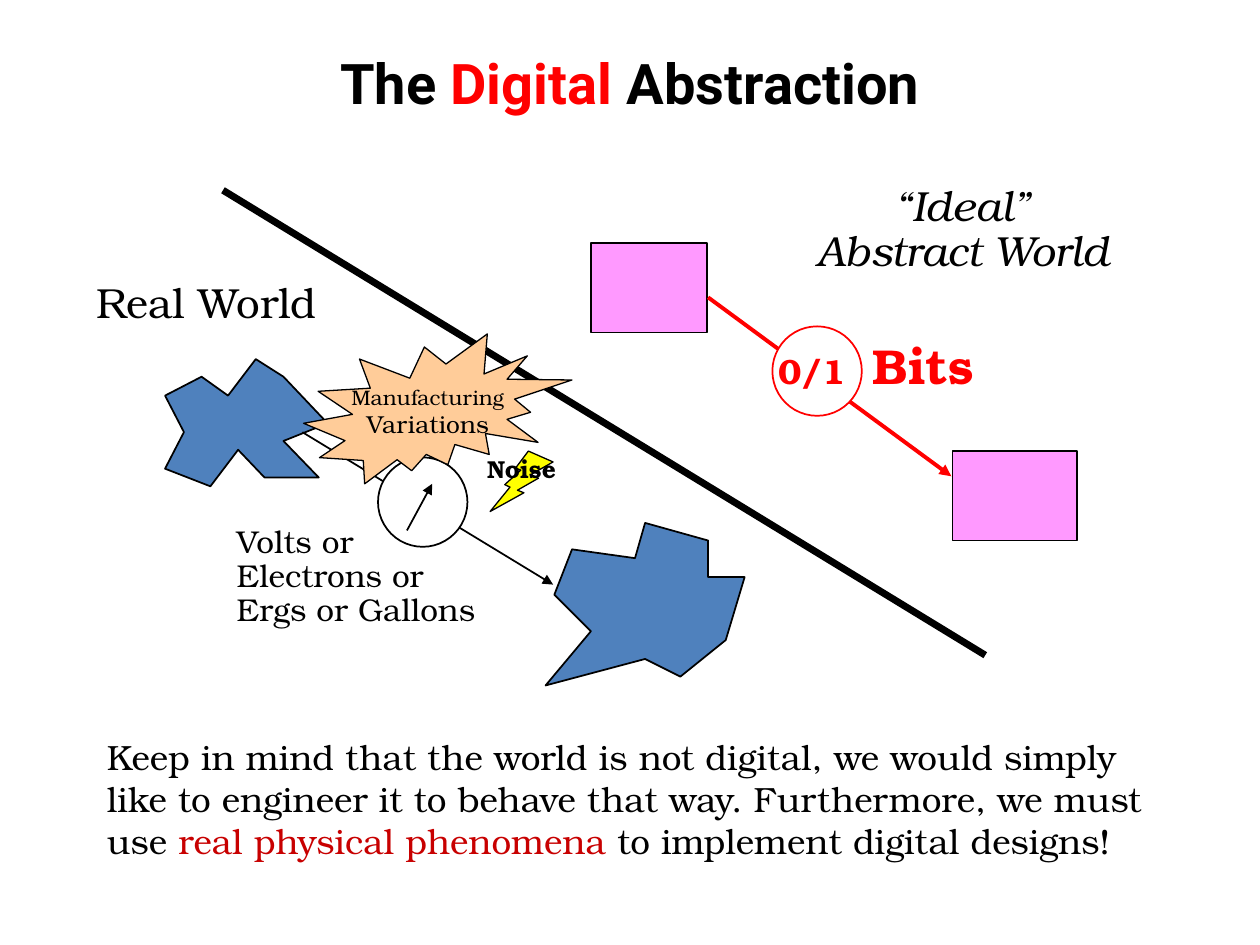
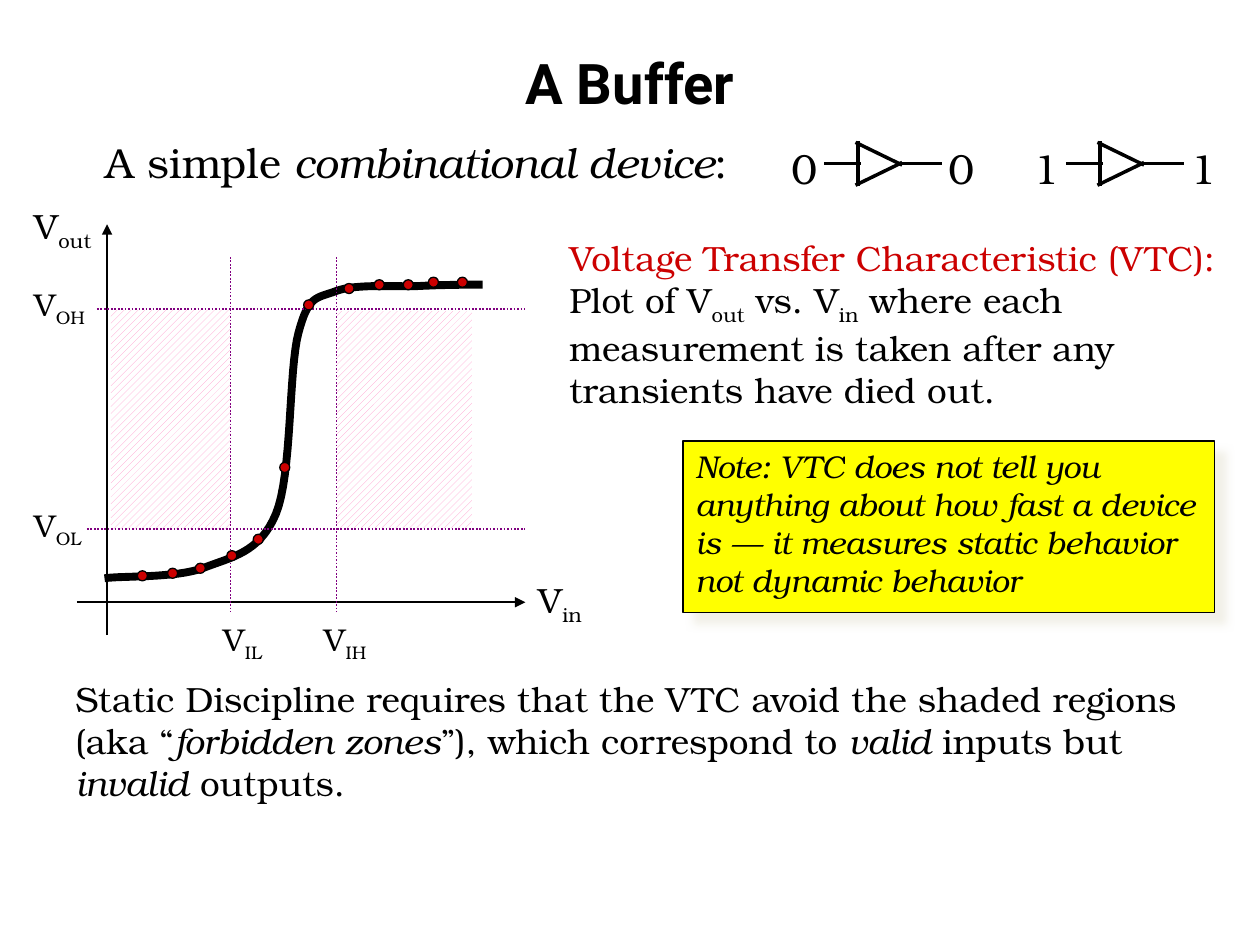
from lxml import etree
from pptx import Presentation
from pptx.dml.color import RGBColor
from pptx.enum.dml import MSO_LINE, MSO_PATTERN
from pptx.enum.shapes import MSO_CONNECTOR, MSO_SHAPE
from pptx.enum.text import MSO_ANCHOR, MSO_AUTO_SIZE, PP_ALIGN
from pptx.oxml.ns import qn
from pptx.util import Inches, Pt

rgb = RGBColor.from_string
STRAIGHT = MSO_CONNECTOR.STRAIGHT
BLACK, WHITE, RED, DARK_RED = "000000", "FFFFFF", "FF0000", "CC0000"
BLUE, PINK, YELLOW, PURPLE = "4F81BD", "FF99FF", "FFFF00", "800080"
BODY_FONT, TITLE_FONT = "TeX Gyre Bonum", "Roboto"


def write(shape, paragraphs, size, color=BLACK, font=BODY_FONT, bold=False, italic=False,
          align=PP_ALIGN.LEFT, anchor=MSO_ANCHOR.TOP, spacing=0.9, wrap=False, grow=True):
    """Each paragraph lists plain strings or (text, mark); a mark is i, sub or a colour."""
    frame = shape.text_frame
    frame.word_wrap, frame.vertical_anchor = wrap, anchor
    frame.auto_size = MSO_AUTO_SIZE.SHAPE_TO_FIT_TEXT if grow else MSO_AUTO_SIZE.NONE
    for number, pieces in enumerate(paragraphs):
        paragraph = frame.add_paragraph() if number else frame.paragraphs[0]
        paragraph.alignment, paragraph.line_spacing = align, spacing
        for piece in pieces:
            words, mark = (piece, "") if isinstance(piece, str) else piece
            run = paragraph.add_run()
            run.text = words
            run.font.name, run.font.size = font, Pt(size)
            run.font.bold, run.font.italic = bold, italic or mark == "i"
            run.font.color.rgb = rgb(mark if len(mark) == 6 else color)
            if mark == "sub":
                run.font._element.set("baseline", "-25000")


def style(item, line=BLACK, width=1, fill=None, arrow=False, dash=None):
    """Set line, fill and arrowhead of a shape or connector, and clear its shadow."""
    if line:
        item.line.color.rgb, item.line.width = rgb(line), Pt(width)
    else:
        item.line.fill.background()
    if dash:
        item.line.dash_style = dash
    if fill:
        item.fill.solid()
        item.fill.fore_color.rgb = rgb(fill)
    properties = item._element.spPr
    if arrow:
        etree.SubElement(properties.find(qn("a:ln")), qn("a:tailEnd"), type="triangle")
    etree.SubElement(properties, qn("a:effectLst"))
    return item


prs = Presentation()
prs.slide_width, prs.slide_height = Inches(10), Inches(7.5)

# Slides with their shared title style
titles = [["The ", ("Digital", RED), " Abstraction"], ["A Buffer"]]
shape_sets = []
for title in titles:
    shapes = prs.slides.add_slide(prs.slide_layouts[6]).shapes
    write(shapes.add_textbox(*map(Inches, (0.5, 0.3, 9, 0.7))), [title], 32, font=TITLE_FONT,
          bold=True, align=PP_ALIGN.CENTER, anchor=MSO_ANCHOR.MIDDLE, spacing=1,
          wrap=True, grow=False)
    shape_sets.append(shapes)
worlds, buffer = shape_sets

# Slide 1: border between the two worlds
style(worlds.add_connector(STRAIGHT, *map(Inches, (1.77, 1.51, 7.82, 5.2))), width=4)
write(worlds.add_textbox(*map(Inches, (0.67, 2.19, 1.98, 0.47))), [["Real World"]], 24)
write(worlds.add_textbox(*map(Inches, (6.29, 1.42, 2.7, 0.83))),
      [["“Ideal”"], ["Abstract World"]], 24, italic=True, align=PP_ALIGN.CENTER)

# Irregular devices of the real world
devices = [
    [(1.46, 3.43), (1.31, 3.14), (1.6, 2.99), (1.81, 3.14), (2.03, 2.85), (2.25, 2.99),
     (2.6, 3.36), (2.25, 3.5), (2.53, 3.79), (2.1, 3.79), (1.89, 3.57), (1.67, 3.86),
     (1.31, 3.72)],
    [(4.4, 4.72), (4.54, 4.36), (5.04, 4.43), (5.12, 4.15), (5.62, 4.29), (5.62, 4.58),
     (5.91, 4.58), (5.76, 5.08), (5.4, 5.37), (5.12, 5.23), (4.33, 5.44), (4.69, 5.01)],
]
for corners in devices:
    start, *others = [(Inches(x), Inches(y)) for x, y in corners]
    outline = worlds.build_freeform(*start)
    outline.add_line_segments(others, close=True)
    style(outline.convert_to_shape(), fill=BLUE)
style(worlds.add_connector(STRAIGHT, *map(Inches, (2.4, 3.43, 4.39, 4.64))), arrow=True)

# Clean devices of the ideal world
for box in [(4.69, 1.93, 0.92, 0.71), (7.56, 3.58, 0.99, 0.71)]:
    style(worlds.add_shape(MSO_SHAPE.RECTANGLE, *map(Inches, box)), fill=PINK)
style(worlds.add_connector(STRAIGHT, *map(Inches, (5.62, 2.36, 7.55, 3.78))),
      line=RED, width=2.25, arrow=True)

# What the wires carry: an analog gauge and a bit
write(worlds.add_textbox(*map(Inches, (1.78, 4.13, 2.13, 0.92))),
      [["Volts or"], ["Electrons or"], ["Ergs or Gallons"]], 18)
write(worlds.add_textbox(*map(Inches, (6.83, 2.67, 1.01, 0.53))), [["Bits"]], 28, RED, bold=True)
for x, y, color in [(3, 3.63, BLACK), (6.13, 2.59, RED)]:
    style(worlds.add_shape(MSO_SHAPE.OVAL, *map(Inches, (x, y, 0.71, 0.71))),
          line=color, fill=WHITE)
style(worlds.add_connector(STRAIGHT, *map(Inches, (3.23, 4.21, 3.43, 3.84))), arrow=True)
write(worlds.add_textbox(*map(Inches, (6.08, 2.76, 0.74, 0.41))), [["0/1"]], 20, RED, bold=True)

# Closing remark
write(worlds.add_textbox(*map(Inches, (0.75, 5.78, 8.58, 1.11))),
      [["Keep in mind that the world is not digital, we would simply like to engineer it to "
        "behave that way. Furthermore, we must use ", ("real physical phenomena", "C80000"),
        " to implement digital designs!"]],
      20, anchor=MSO_ANCHOR.MIDDLE, spacing=1, wrap=True)

# Noise and manufacturing variations
bolt = worlds.add_shape(MSO_SHAPE.LIGHTNING_BOLT, *map(Inches, (3.89, 3.58, 0.5, 0.48)))
style(bolt, width=0.75, fill=YELLOW)
bolt._element.spPr.find(qn("a:xfrm")).set("flipH", "1")
write(worlds.add_textbox(*map(Inches, (3.76, 3.55, 0.76, 0.34))), [["Noise"]], 14, bold=True,
      align=PP_ALIGN.CENTER, anchor=MSO_ANCHOR.MIDDLE, spacing=1)
variations = worlds.add_shape(MSO_SHAPE.EXPLOSION2, *map(Inches, (2.41, 2.65, 2.13, 1.19)))
style(variations, width=0.75, fill="FFCC99")
write(variations, [["Manufacturing"], ["Variations"]], 14, align=PP_ALIGN.CENTER,
      anchor=MSO_ANCHOR.MIDDLE, spacing=1, grow=False)
variations.text_frame.paragraphs[0].runs[0].font.size = Pt(12)

# Slide 2: buffer symbols with input and output bits
symbol_lines = [
    (0.36, 1.3, 0.65, 1.3, 1.5), (0.63, 1.12, 0.63, 1.48, 2), (0.61, 1.47, 0.98, 1.29, 2),
    (0.98, 1.31, 0.61, 1.13, 2), (0.98, 1.3, 1.3, 1.3, 1.5),
]
for left, bit in [(6.18, "0"), (8.1, "1")]:
    for x1, y1, x2, y2, width in symbol_lines:
        ends = map(Inches, (left + x1, y1, left + x2, y2))
        style(buffer.add_connector(STRAIGHT, *ends), width=width)
    for x in (left, left + 1.25):
        write(buffer.add_textbox(*map(Inches, (x, 1.13, 0.41, 0.47))), [[bit]], 24)

# Explanations
write(buffer.add_textbox(*map(Inches, (0.74, 1.08, 5.22, 0.47))),
      [["A simple ", ("combinational device", "i"), ":"]], 24)
write(buffer.add_textbox(*map(Inches, (0.5, 5.33, 9.08, 1.11))),
      [["Static Discipline requires that the VTC avoid the shaded regions (aka “",
        ("forbidden zones", "i"), "”), which correspond to ", ("valid", "i"),
        " inputs but ", ("invalid", "i"), " outputs."]], 20, spacing=1, wrap=True)
write(buffer.add_textbox(*map(Inches, (4.42, 1.83, 5.5, 1.45))),
      [[("Voltage Transfer Characteristic (VTC):", DARK_RED)],
       ["Plot of V", ("out", "sub"), " vs. V", ("in", "sub"),
        " where each measurement is taken after any transients have died out."]],
      20, spacing=1, wrap=True)

# Transfer curve, sampled from its Bézier pieces
knots = [(0.83, 4.59), (0.96, 4.57), (1.39, 4.59), (1.61, 4.51), (1.84, 4.42), (2.06, 4.39),
         (2.19, 4.08), (2.32, 3.77), (2.29, 2.93), (2.37, 2.64), (2.45, 2.34), (2.51, 2.37),
         (2.67, 2.31), (2.83, 2.25), (3.15, 2.28), (3.34, 2.27), (3.54, 2.26), (3.73, 2.26),
         (3.83, 2.26)]
STEPS = 16
curve_points = []
for first in range(0, len(knots) - 1, 3):
    for step in range(1, STEPS + 1):
        t = step / STEPS
        weights = ((1 - t) ** 3, 3 * t * (1 - t) ** 2, 3 * t ** 2 * (1 - t), t ** 3)
        curve_points.append([
            Inches(sum(w * knot[axis] for w, knot in zip(weights, knots[first:first + 4])))
            for axis in (0, 1)])
outline = buffer.build_freeform(*map(Inches, knots[0]))
outline.add_line_segments(curve_points, close=False)
curve = style(outline.convert_to_shape(), width=4.5)
curve.fill.background()

# Forbidden zones
for x, width, border in [(2.67, 1.08, WHITE), (0.88, 0.95, None)]:
    zone = buffer.add_shape(MSO_SHAPE.RECTANGLE, *map(Inches, (x, 2.46, width, 1.74)))
    zone.fill.patterned()
    zone.fill.pattern = MSO_PATTERN.WIDE_UPWARD_DIAGONAL
    zone.fill.fore_color.rgb, zone.fill.back_color.rgb = rgb("FF99CC"), rgb(WHITE)
    style(zone, line=border)

# Axes and thresholds
for axis in [(0.85, 5.04, 0.85, 1.78), (0.61, 4.78, 4.17, 4.78)]:
    style(buffer.add_connector(STRAIGHT, *map(Inches, axis)), arrow=True)
for threshold in [(0.69, 4.2, 4.17, 4.2), (0.77, 2.45, 4.17, 2.45),
                  (1.83, 2.04, 1.83, 4.86), (2.67, 2.04, 2.67, 4.86)]:
    style(buffer.add_connector(STRAIGHT, *map(Inches, threshold)),
          line=PURPLE, dash=MSO_LINE.ROUND_DOT)
voltages = [
    ("out", 0.17, 1.58, 0.7, 20), ("in", 4.17, 4.55, 0.58, 20), ("OL", 0.17, 3.97, 0.63, 18),
    ("OH", 0.17, 2.22, 0.66, 18), ("IL", 1.67, 4.88, 0.55, 18), ("IH", 2.47, 4.88, 0.58, 18),
]
for subscript, x, y, width, size in voltages:
    write(buffer.add_textbox(*map(Inches, (x, y, width, 0.37))),
          [["V", (subscript, "sub")]], size)

# Measured points
measurements = [(1.09, 4.53), (1.33, 4.51), (1.55, 4.47), (1.8, 4.37), (2.01, 4.24),
                (2.22, 3.67), (2.41, 2.38), (2.73, 2.25), (2.97, 2.22), (3.2, 2.22),
                (3.4, 2.2), (3.63, 2.2)]
for x, y in measurements:
    style(buffer.add_shape(MSO_SHAPE.OVAL, *map(Inches, (x, y, 0.08, 0.08))),
          width=0.75, fill=DARK_RED)

# Note with a soft shadow
note = buffer.add_shape(MSO_SHAPE.RECTANGLE, *map(Inches, (5.42, 3.5, 4.22, 1.36)))
style(note, width=0.75, fill=YELLOW)
shadow = etree.SubElement(note._element.spPr.find(qn("a:effectLst")), qn("a:outerShdw"),
                          blurRad=str(Pt(5)), dist=str(Pt(8.5)), dir=str(45 * 60000))
tint = etree.SubElement(shadow, qn("a:srgbClr"), val="EEECE1")
etree.SubElement(tint, qn("a:alpha"), val="75000")
write(buffer.add_textbox(*map(Inches, (5.42, 3.5, 4.32, 1.67))),
      [["Note: VTC does not tell you anything about how fast a device is — "
        "it measures static behavior not dynamic behavior"]],
      18, italic=True, spacing=1, wrap=True)

prs.save("out.pptx")
